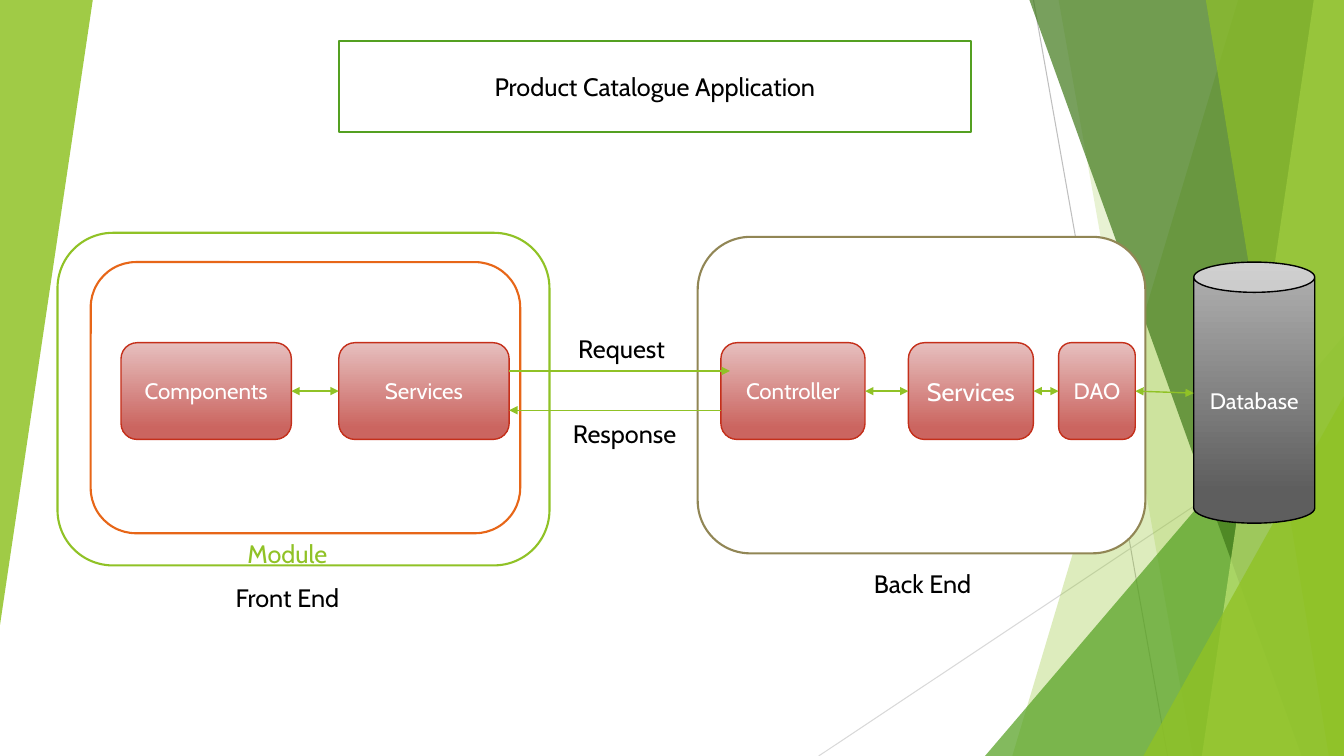
"""Build the Product Catalogue Application architecture slide."""
from dataclasses import dataclass
from typing import Any, Optional

import pptx
import pptx.dml.color
import pptx.enum.dml
import pptx.enum.shapes
import pptx.enum.text
import pptx.oxml
import pptx.oxml.ns
import pptx.util

Inches = pptx.util.Inches
RGBColor = pptx.dml.color.RGBColor
Shape = pptx.enum.shapes.MSO_SHAPE

WHITE = RGBColor(0xFF, 0xFF, 0xFF)
BLACK = RGBColor(0x00, 0x00, 0x00)
LIME = RGBColor(0x90, 0xC2, 0x26)
GREEN = RGBColor(0x54, 0xA0, 0x21)
DARK_GREEN = RGBColor(0x3F, 0x78, 0x19)
PALE_LIME = RGBColor(0xC0, 0xE4, 0x74)
ORANGE = RGBColor(0xE7, 0x66, 0x18)
OLIVE = RGBColor(0x91, 0x86, 0x55)
RED = RGBColor(0xC4, 0x2F, 0x1A)
SILVER = RGBColor(0xBF, 0xBF, 0xBF)
LIGHT_GREY = RGBColor(0xD9, 0xD9, 0xD9)
RED_GRADIENT = (RGBColor(0xE6, 0xBF, 0xBE), RGBColor(0xCB, 0x65, 0x60))
GREY_GRADIENT = (RGBColor(0xB2, 0xB2, 0xB2), RGBColor(0x5E, 0x5E, 0x5E))

WIDTH, HEIGHT = 13.33, 7.5
TIER_TOP, TIER_HEIGHT = 3.4, 0.96


@dataclass
class Box:
    at: tuple[float, float, float, float]
    line: RGBColor
    text: str = ""
    size: int = 18
    color: RGBColor = BLACK
    kind: Any = Shape.ROUNDED_RECTANGLE
    gradient: Optional[tuple[RGBColor, RGBColor]] = None
    weight: float = 1.5


@dataclass
class Facet:
    top: float
    bottom: float
    color: RGBColor
    opacity: int


@dataclass
class Corner:
    at: tuple[float, float, float, float]
    color: RGBColor
    opacity: int
    rotation: int = 0


@dataclass
class Arrow:
    start: tuple[float, float]
    end: tuple[float, float]
    source: str = ""
    target: str = ""
    both: bool = True


def tier(left: float, width: float, text: str, size: int = 16) -> Box:
    """Describe one red application tier."""
    return Box((left, TIER_TOP, width, TIER_HEIGHT), RED, text, size, WHITE,
               gradient=RED_GRADIENT, weight=1)


def label(left: float, top: float, width: float, height: float, text: str,
          color: RGBColor = BLACK) -> Box:
    """Describe one plain caption."""
    return Box((left, top, width, height), WHITE, text, color=color, kind=Shape.RECTANGLE)


TITLE = Box((3.36, 0.41, 6.27, 0.9), GREEN, "Product Catalogue Application")
FRAMES = [Box((0.57, 2.31, 4.88, 3.3), LIME),
          Box((0.9, 2.6, 4.26, 2.69), ORANGE),
          Box((6.92, 2.35, 4.44, 3.14), OLIVE)]
NODES = {"components": tier(1.2, 1.69, "Components"),
         "client": tier(3.36, 1.69, "Services"),
         "controller": tier(7.15, 1.43, "Controller"),
         "server": tier(9.01, 1.24, "Services", 18),
         "dao": tier(10.5, 0.76, "DAO"),
         "database": Box((11.84, 2.6, 1.2, 2.59), BLACK, "Database", 16, WHITE,
                         Shape.CAN, GREY_GRADIENT, 1)}
ARROWS = [Arrow((2.89, 3.88), (3.36, 3.88), "components", "client"),
          Arrow((8.58, 3.88), (9.01, 3.88), "controller", "server"),
          Arrow((10.25, 3.88), (10.5, 3.88), "server", "dao"),
          Arrow((11.26, 3.88), (11.84, 3.9), "dao"),
          Arrow((5.05, 3.68), (7.24, 3.68), both=False),
          Arrow((7.15, 4.07), (5.05, 4.07), both=False)]
LABELS = [label(5.61, 3.3, 1.11, 0.31, "Request"),
          label(5.56, 4.14, 1.27, 0.32, "Response"),
          label(2.05, 5.39, 1.6, 0.19, "Module", LIME),
          label(1.82, 5.76, 2.06, 0.34, "Front End"),
          label(8.12, 5.61, 2.06, 0.36, "Back End")]
BACKDROP = [Facet(12.28, 10.04, LIME, 30),
            Facet(10.5, 11.83, LIME, 20),
            Corner((9.77, 3.33, 3.56, 4.17), GREEN, 72),
            Facet(10.21, 12.91, DARK_GREEN, 70),
            Facet(13.03, 11.92, PALE_LIME, 70),
            Facet(11.96, 13.18, LIME, 65),
            Corner((11.34, 3.93, 1.99, 3.57), LIME, 80),
            Corner((0, 0, 0.92, 6.2), LIME, 85, 180)]


def add_line(s: Any, start: tuple[float, float], end: tuple[float, float],
             color: RGBColor, weight: float) -> Any:
    """Draw a straight line without a shadow."""
    c = s.shapes.add_connector(pptx.enum.shapes.MSO_CONNECTOR.STRAIGHT,
                               *map(Inches, start + end))
    c.line.color.rgb = color
    c.line.width = pptx.util.Pt(weight)
    pptx.oxml.ns.qn("a:effectLst")
    c._element.spPr.append(pptx.oxml.parse_xml(
        f'<a:effectLst {pptx.oxml.ns.nsdecls("a")}/>'))
    return c


def add_backdrop(s: Any, part: Facet | Corner) -> None:
    """Draw one translucent background part."""
    if isinstance(part, Facet):
        points = [(WIDTH, 0), (WIDTH, HEIGHT), (part.bottom, HEIGHT)]
        builder = s.shapes.build_freeform(Inches(part.top), 0)
        builder.add_line_segments([(Inches(x), Inches(y)) for x, y in points])
        sp = builder.convert_to_shape()
    else:
        sp = s.shapes.add_shape(Shape.ISOSCELES_TRIANGLE, *map(Inches, part.at))
        sp.adjustments[0] = 1
        sp.rotation = part.rotation
    sp.shadow.inherit = False
    sp.line.fill.background()
    sp.fill.solid()
    sp.fill.fore_color.rgb = part.color
    rgb = sp._element.spPr.find(".//" + pptx.oxml.ns.qn("a:srgbClr"))
    rgb.append(pptx.oxml.parse_xml(
        f'<a:alpha {pptx.oxml.ns.nsdecls("a")} val="{part.opacity * 1000}"/>'))


def format_box(sp: Any, box: Box) -> None:
    """Apply fill, outline and text to a shape."""
    if box.gradient:
        sp.fill.gradient()
        sp.fill.gradient_angle = 270
        for stop, color, position in zip(sp.fill.gradient_stops, box.gradient, (0, 0.88)):
            stop.color.rgb = color
            stop.position = position
    else:
        sp.fill.solid()
        sp.fill.fore_color.rgb = WHITE
    sp.line.color.rgb = box.line
    sp.line.width = pptx.util.Pt(box.weight)
    if not box.text:
        return
    tf = sp.text_frame
    frame_format = {"word_wrap": True, "auto_size": pptx.enum.text.MSO_AUTO_SIZE.NONE,
                    "vertical_anchor": pptx.enum.text.MSO_ANCHOR.MIDDLE}
    for name, value in frame_format.items():
        setattr(tf, name, value)
    p = tf.paragraphs[0]
    p.alignment = pptx.enum.text.PP_ALIGN.CENTER
    r = p.add_run()
    r.text = box.text
    for name, value in {"name": "Cabin", "size": pptx.util.Pt(box.size)}.items():
        setattr(r.font, name, value)
    r.font.color.rgb = box.color


def add_box(s: Any, box: Box) -> Any:
    """Draw one box."""
    sp = s.shapes.add_shape(box.kind, *map(Inches, box.at))
    sp.shadow.inherit = False
    format_box(sp, box)
    return sp


def add_title(s: Any, box: Box) -> None:
    """Turn the title placeholder into a rounded box."""
    sp = s.shapes.title
    for name, value in zip(("left", "top", "width", "height"), box.at):
        setattr(sp, name, Inches(value))
    sp._element.spPr.append(pptx.oxml.parse_xml(
        f'<a:prstGeom {pptx.oxml.ns.nsdecls("a")} prst="roundRect"><a:avLst/></a:prstGeom>'))
    format_box(sp, box)


def add_arrow(s: Any, arrow: Arrow, nodes: dict[str, Any]) -> None:
    """Draw one arrow and join it to its nodes."""
    c = add_line(s, arrow.start, arrow.end, LIME, 1)
    if arrow.source:
        c.begin_connect(nodes[arrow.source], 3)
    if arrow.target:
        c.end_connect(nodes[arrow.target], 1)
    for tag in ("headEnd", "tailEnd") if arrow.both else ("tailEnd",):
        c.line._get_or_add_ln().append(pptx.oxml.parse_xml(
            f'<a:{tag} {pptx.oxml.ns.nsdecls("a")} type="triangle"/>'))


def main() -> None:
    """Build and save the slide."""
    prs = pptx.Presentation()
    prs.slide_width, prs.slide_height = Inches(WIDTH), Inches(HEIGHT)
    s = prs.slides.add_slide(prs.slide_layouts[5])
    add_title(s, TITLE)
    add_line(s, (10.25, 0), (11.58, HEIGHT), SILVER, 0.75)
    add_line(s, (WIDTH, 4.03), (8.12, HEIGHT), LIGHT_GREY, 0.75)
    for part in BACKDROP:
        add_backdrop(s, part)
    for frame in FRAMES:
        add_box(s, frame)
    nodes = {name: add_box(s, box) for name, box in NODES.items()}
    for arrow in ARROWS:
        add_arrow(s, arrow, nodes)
    for caption in LABELS:
        add_box(s, caption)
    prs.save("out.pptx")


if __name__ == "__main__":
    main()
